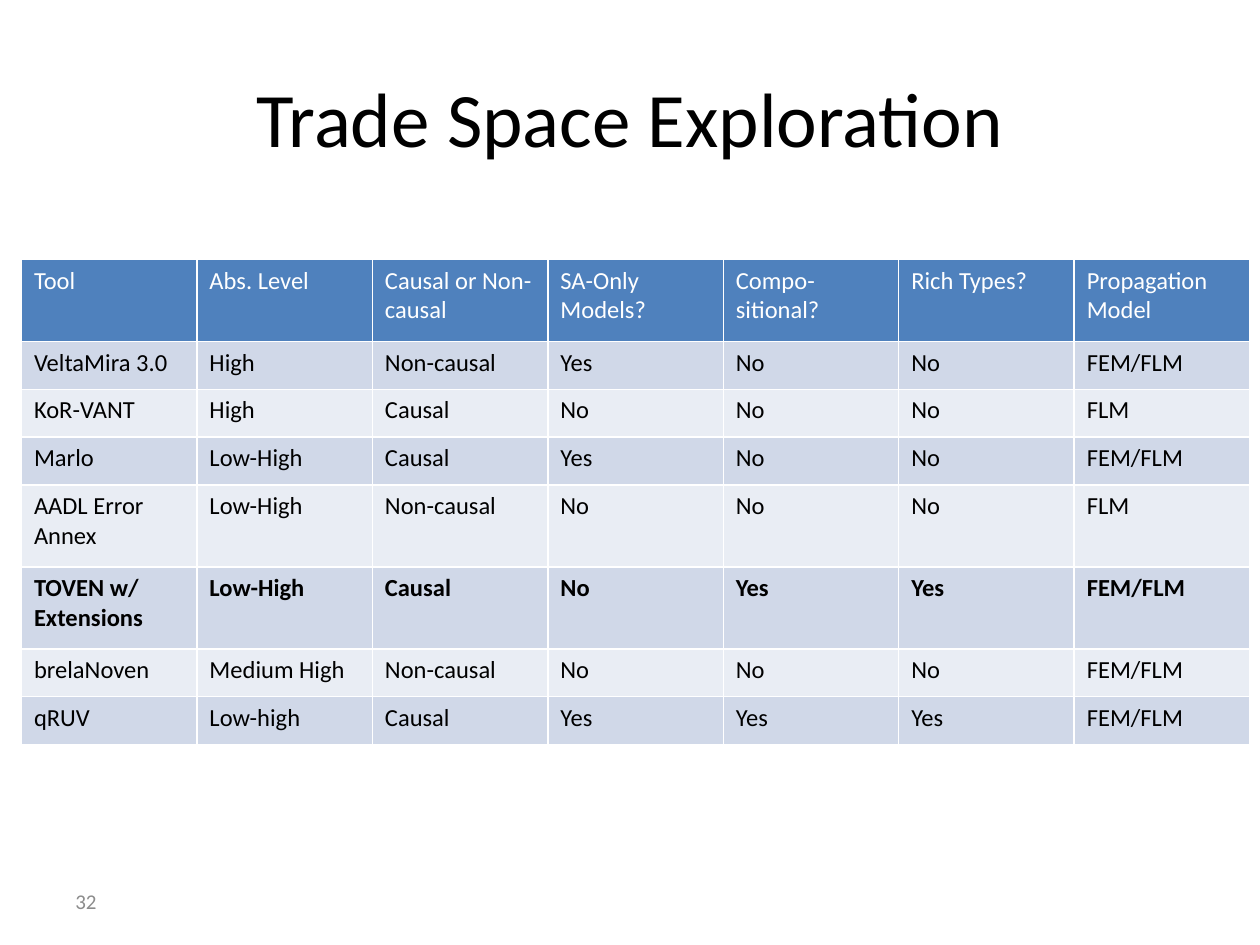
from pptx import Presentation
from pptx.dml.color import RGBColor
from pptx.enum import text as t
from pptx.oxml import ns, parse_xml
from pptx.util import Inches, Pt

COLORS = {
    "black": "000000",
    "white": "FFFFFF",
    "header": "4F81BD",
    "dark_band": "D0D8E8",
    "light_band": "E9EDF4",
    "number": "8C8C8C",
}
FONT = "Calibri"
COLUMN_WIDTH = 9.75 / 7
SINGLE_ROW, DOUBLE_ROW = 0.38, 0.65
DOUBLE_ROWS = (0, 4, 5)
BOLD_ROW = 5
ROWS = [
    ("Tool", "Abs. Level", "Causal or Non-causal", "SA-Only Models?",
     "Compo-sitional?", "Rich Types?", "Propagation Model"),
    ("VeltaMira 3.0", "High", "Non-causal", "Yes", "No", "No", "FEM/FLM"),
    ("KoR-VANT", "High", "Causal", "No", "No", "No", "FLM"),
    ("Marlo", "Low-High", "Causal", "Yes", "No", "No", "FEM/FLM"),
    ("AADL Error Annex", "Low-High", "Non-causal", "No", "No", "No", "FLM"),
    ("TOVEN w/ Extensions", "Low-High", "Causal", "No", "Yes", "Yes", "FEM/FLM"),
    ("brelaNoven", "Medium High", "Non-causal", "No", "No", "No", "FEM/FLM"),
    ("qRUV", "Low-high", "Causal", "Yes", "Yes", "Yes", "FEM/FLM"),
]


def add_span(para, words, size, color, bold=False):
    span = para.add_run()
    span.text = words
    span.font.name = FONT
    span.font.size = Pt(size)
    span.font.bold = bold
    span.font.color.rgb = RGBColor.from_string(COLORS[color])


def place(shape, left, top, width, height):
    shape.left, shape.top = Inches(left), Inches(top)
    shape.width, shape.height = Inches(width), Inches(height)


def add_title(page, words):
    title = page.shapes.title
    place(title, 0.5, 0.3, 9, 1.25)
    title.text_frame.vertical_anchor = t.MSO_ANCHOR.MIDDLE
    para = title.text_frame.paragraphs[0]
    para.alignment = t.PP_ALIGN.CENTER
    add_span(para, words, 44, "black")


def set_borders(cell):
    properties = cell._tc.get_or_add_tcPr()
    for side in "LRTB":
        properties.append(parse_xml(
            f'<a:ln{side} {ns.nsdecls("a")} w="{Pt(1)}"><a:solidFill>'
            f'<a:srgbClr val="{COLORS["white"]}"/></a:solidFill></a:ln{side}>'))


def format_cell(cell, words, row):
    if row == 0:
        fill, color = "header", "white"
    else:
        fill = "dark_band" if row % 2 else "light_band"
        color = "black"
    set_borders(cell)
    cell.fill.solid()
    cell.fill.fore_color.rgb = RGBColor.from_string(COLORS[fill])
    add_span(cell.text_frame.paragraphs[0], words, 14, color, row == BOLD_ROW)


def add_tool_table(page):
    frame = page.shapes.add_table(len(ROWS), len(ROWS[0]), Inches(0.17),
                                  Inches(2.06), Inches(9.75), Inches(3.85))
    table = frame.table
    for column in table.columns:
        column.width = Inches(COLUMN_WIDTH)
    for row, entries in enumerate(ROWS):
        height = DOUBLE_ROW if row in DOUBLE_ROWS else SINGLE_ROW
        table.rows[row].height = Inches(height)
        for column, words in enumerate(entries):
            format_cell(table.cell(row, column), words, row)


def add_page_number(page, number):
    box = page.shapes.add_textbox(Inches(0.5), Inches(6.95),
                                  Inches(2.33), Inches(0.4))
    box.text_frame.word_wrap = True
    box.text_frame.vertical_anchor = t.MSO_ANCHOR.MIDDLE
    add_span(box.text_frame.paragraphs[0], number, 12, "number")


def main():
    deck = Presentation()
    deck.slide_width, deck.slide_height = Inches(10), Inches(7.5)
    page = deck.slides.add_slide(deck.slide_layouts[5])
    add_title(page, "Trade Space Exploration")
    add_tool_table(page)
    add_page_number(page, "32")
    deck.save("out.pptx")


if __name__ == "__main__":
    main()
